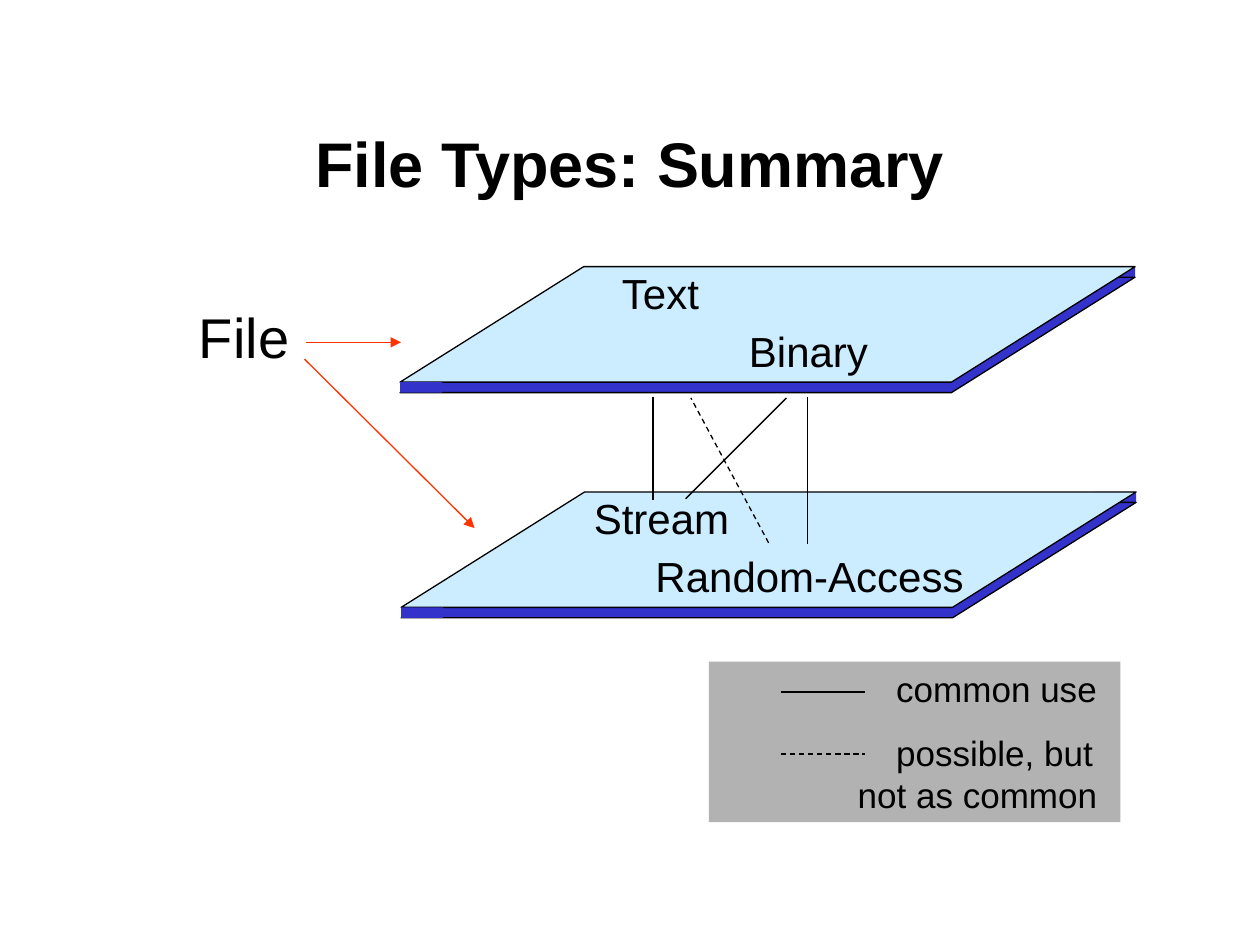
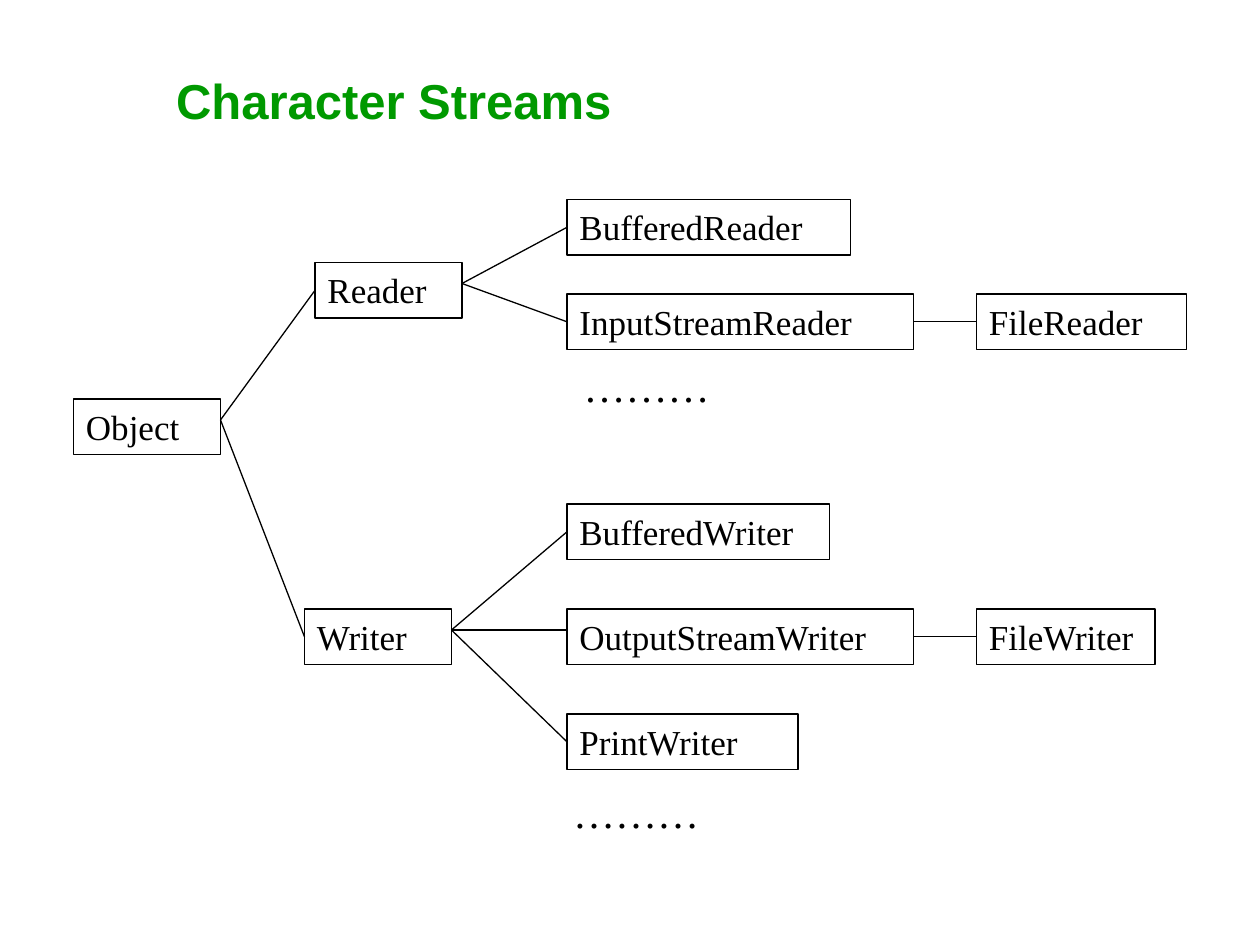
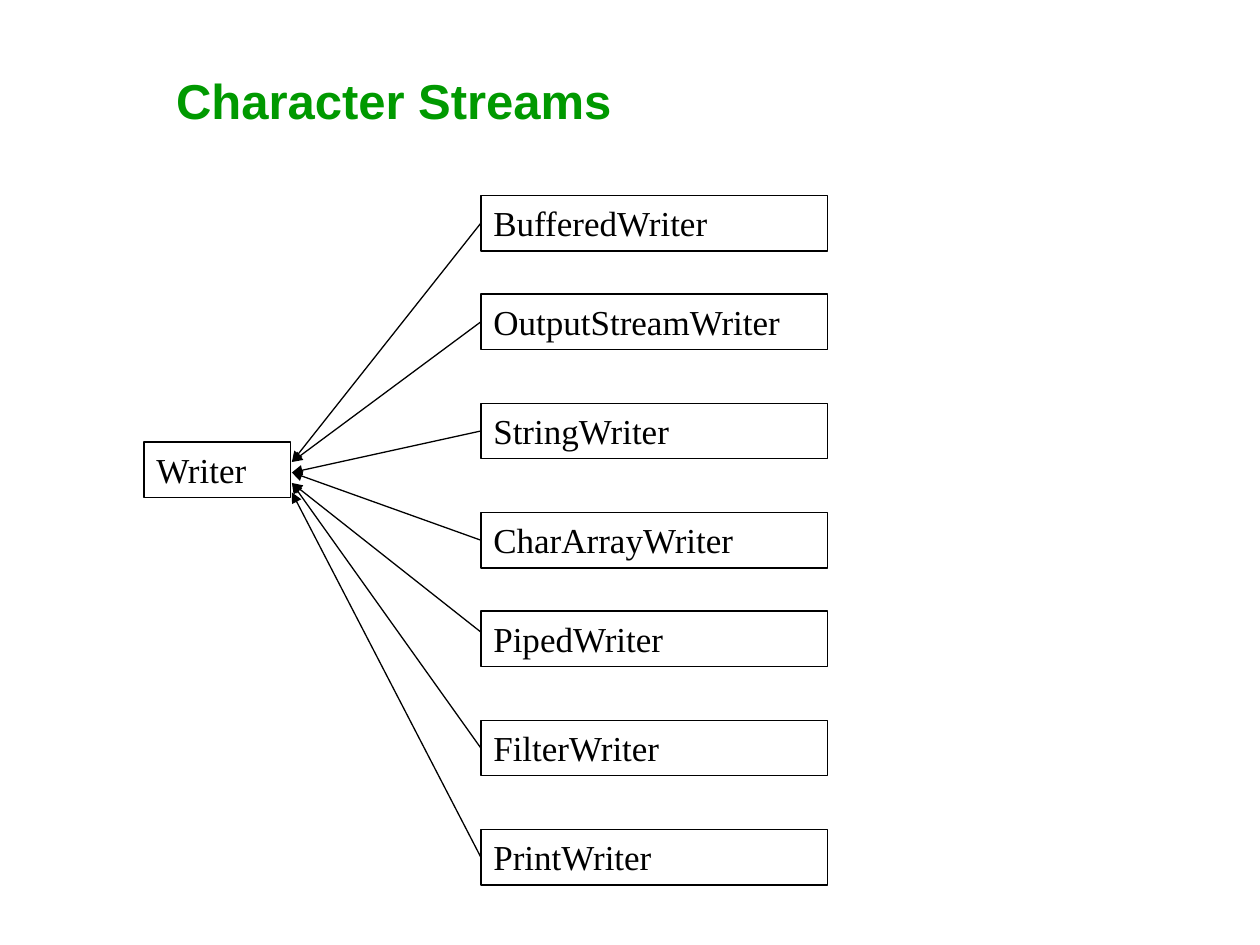
from dataclasses import dataclass
from lxml.etree import SubElement
from pptx import Presentation
from pptx.dml.color import RGBColor
from pptx.enum.dml import MSO_LINE
from pptx.enum.shapes import MSO_CONNECTOR, MSO_SHAPE
from pptx.enum.text import MSO_ANCHOR, PP_ALIGN
from pptx.oxml.ns import qn
from pptx.util import Inches, Pt

COLUMNS, ROWS = 120, 90
SLIDE_WIDTH, SLIDE_HEIGHT = Inches(10), Inches(7.5)
NODE_HEIGHT = 5.3
FAN_ROW = 2
LEFT_SIDE, RIGHT_SIDE = 1, 3


@dataclass(frozen=True)
class Theme:
    ink: str = "000000"
    green: str = "009900"
    red: str = "FF3300"
    sky: str = "CCECFF"
    blue: str = "3333CC"
    grey: str = "B2B2B2"
    sans: str = "Arial"
    serif: str = "Times New Roman"
    heading: int = 36
    subject: int = 32
    title: int = 28
    label: int = 24
    body: int = 20
    stroke: float = 0.75


THEME = Theme()


def text_style(size, face=THEME.sans, color=THEME.ink, bold=False):
    return {"size": Pt(size), "name": face, "bold": bold, "color": color}


STYLES = {
    "heading": text_style(THEME.heading, bold=True),
    "title": text_style(THEME.title, color=THEME.green, bold=True),
    "subject": text_style(THEME.subject),
    "label": text_style(THEME.label),
    "legend": text_style(THEME.body),
    "node": text_style(THEME.body, THEME.serif),
    "dots": text_style(THEME.label, THEME.serif),
}


@dataclass(frozen=True)
class Box:
    left: float
    top: float
    width: float
    height: float

    def inside(self, column, row, width, height):
        return Box(self.left + column, self.top + row, width, height)

    def point(self, column, row):
        return self.left + column, self.top + row

    def lengths(self):
        return (across(self.left), down(self.top),
                across(self.width), down(self.height))


PAGE = Box(0, 0, COLUMNS, ROWS)


def across(columns):
    return round(SLIDE_WIDTH * columns / COLUMNS)


def down(rows):
    return round(SLIDE_HEIGHT * rows / ROWS)


def write(shape, lines, style, align=PP_ALIGN.LEFT, anchor=MSO_ANCHOR.TOP):
    frame = shape.text_frame
    frame.word_wrap = True
    frame.vertical_anchor = anchor
    for index, line in enumerate(lines):
        para = frame.paragraphs[0] if index == 0 else frame.add_paragraph()
        para.alignment = align
        span = para.add_run()
        span.text = line
        for name, value in STYLES[style].items():
            if name == "color":
                span.font.color.rgb = RGBColor.from_string(value)
            else:
                setattr(span.font, name, value)
    return frame.paragraphs


def add_text(page, area, text, style, align=PP_ALIGN.CENTER, anchor=MSO_ANCHOR.TOP):
    write(page.shapes.add_textbox(*area.lengths()), [text], style, align, anchor)


def add_block(shapes, kind, area, fill=None, outlined=True):
    shape = shapes.add_shape(kind, *area.lengths())
    shape.shadow.inherit = False
    if fill:
        shape.fill.solid()
        shape.fill.fore_color.rgb = RGBColor.from_string(fill)
    else:
        shape.fill.background()
    if outlined:
        shape.line.color.rgb = RGBColor.from_string(THEME.ink)
        shape.line.width = Pt(THEME.stroke)
    else:
        shape.line.fill.background()
    return shape


def add_line(page, start, end, color=THEME.ink, dashed=False, arrow=None,
             start_node=None, end_node=None):
    line = page.shapes.add_connector(
        MSO_CONNECTOR.STRAIGHT,
        across(start[0]), down(start[1]), across(end[0]), down(end[1]))
    line.line.color.rgb = RGBColor.from_string(color)
    line.line.width = Pt(THEME.stroke)
    if dashed:
        line.line.dash_style = MSO_LINE.DASH
    if arrow:
        SubElement(line.line._get_or_add_ln(), qn(f"a:{arrow}"), type="triangle")
    SubElement(line._element.spPr, qn("a:effectLst"))
    if start_node:
        line.begin_connect(start_node, RIGHT_SIDE)
    if end_node:
        line.end_connect(end_node, LEFT_SIDE)


def add_title(page):
    add_text(page, PAGE.inside(14, 6, 47, 7), "Character Streams", "title",
             anchor=MSO_ANCHOR.MIDDLE)


def add_node(page, area, name):
    node = add_block(page.shapes, MSO_SHAPE.RECTANGLE, area)
    write(node, [name], "node")
    return node


def add_plate(page, area, labels):
    depth, strip, slant = 1, 4, 1.59
    face_height = area.height - depth
    plate = page.shapes.add_group_shape().shapes

    def add_strip(column, row):
        add_block(plate, MSO_SHAPE.RECTANGLE, area.inside(column, row, strip, depth),
                  THEME.blue, outlined=False)

    add_strip(area.width - strip, 0)
    for row, fill in ((depth, THEME.blue), (0, THEME.sky)):
        face = add_block(plate, MSO_SHAPE.PARALLELOGRAM,
                         area.inside(0, row, area.width, face_height), fill)
        face.adjustments[0] = slant
    add_strip(0, face_height)
    for label, column, row in zip(labels, (3.3, 17.4), (-0.5, 5)):
        add_text(page, area.inside(column, row, 43, 6), label, "label")


def add_legend(page, area):
    panel = add_block(page.shapes, MSO_SHAPE.RECTANGLE, area, THEME.grey, outlined=False)
    lines = ["common use", "possible, but", "not as common"]
    paras = write(panel, lines, "legend")
    for para, indent in zip(paras, (100, 100, 78)):
        para._p.get_or_add_pPr().set("marL", str(Pt(indent)))
    paras[1].space_before = Pt(12.5)
    for row, dashed in ((2.9, False), (8.8, True)):
        add_line(page, area.point(6.9, row), area.point(14.9, row), dashed=dashed)


def add_uses(page, area):
    for start, end, dashed in (
        ((0, 0), (0, 9.8), False),
        ((14.7, 0), (14.7, 14), False),
        ((3.1, 9.7), (12.7, 0.1), False),
        ((11, 13.9), (3.6, 0.1), True),
    ):
        add_line(page, area.point(*start), area.point(*end), dashed=dashed)


def add_subject(page, area):
    add_text(page, area, "File", "subject")
    for start, end in (((16.6, 4.4), (25.7, 4.4)), ((16.5, 6), (32.7, 22.1))):
        add_line(page, area.point(*start), area.point(*end), THEME.red, arrow="tailEnd")


def add_class_tree(page, area):
    places = {
        "Object": (0, 19, 14),
        "Reader": (23, 6, 14),
        "BufferedReader": (47, 0, 27),
        "InputStreamReader": (47, 9, 33),
        "FileReader": (86, 9, 20),
        "Writer": (22, 39, 14),
        "BufferedWriter": (47, 29, 25),
        "OutputStreamWriter": (47, 39, 33),
        "PrintWriter": (47, 49, 22),
        "FileWriter": (86, 39, 17),
    }
    boxes = {name: area.inside(column, row, width, NODE_HEIGHT)
             for name, (column, row, width) in places.items()}
    nodes = {name: add_node(page, box, name) for name, box in boxes.items()}
    children = {
        "Object": ("Reader", "Writer"),
        "Reader": ("BufferedReader", "InputStreamReader"),
        "Writer": ("OutputStreamWriter", "BufferedWriter", "PrintWriter"),
        "InputStreamReader": ("FileReader",),
        "OutputStreamWriter": ("FileWriter",),
    }
    for parent, names in children.items():
        for child in names:
            level = (parent, child) == ("Writer", "OutputStreamWriter")
            add_line(page, boxes[parent].point(boxes[parent].width, FAN_ROW),
                     boxes[child].point(0, FAN_ROW),
                     start_node=nodes[parent] if len(names) == 1 else None,
                     end_node=None if level else nodes[child])
    for column, row in ((47.4, 14.7), (46.4, 55.3)):
        add_text(page, area.inside(column, row, 23, 6), "………", "dots", PP_ALIGN.LEFT)


def add_writer_fan(page, area):
    add_node(page, area.inside(0, 23.5, 14, NODE_HEIGHT), "Writer")
    for name, row, tip_row in (
        ("BufferedWriter", 0, 25.4),
        ("OutputStreamWriter", 9.4, 25.4),
        ("StringWriter", 19.8, 26.4),
        ("CharArrayWriter", 30.2, 26.4),
        ("PipedWriter", 39.6, 27.4),
        ("FilterWriter", 50, 27.4),
        ("PrintWriter", 60.4, 28.3),
    ):
        box = area.inside(32.1, row, 33, NODE_HEIGHT)
        node = add_node(page, box, name)
        add_line(page, area.point(14.1, tip_row), box.point(0, FAN_ROW), arrow="headEnd",
                 end_node=None if name == "PipedWriter" else node)


def build_summary(page):
    add_text(page, PAGE.inside(9, 8, 102, 15), "File Types: Summary", "heading",
             anchor=MSO_ANCHOR.MIDDLE)
    add_plate(page, PAGE.inside(38.1, 25.4, 70, 12), ("Text", "Binary"))
    add_plate(page, PAGE.inside(38.2, 46.85, 70, 12), ("Stream", "Random-Access"))
    add_subject(page, PAGE.inside(12.5, 28.2, 21.5, 7.7))
    add_uses(page, PAGE.inside(62.2, 37.8, 14.7, 14))
    add_legend(page, PAGE.inside(67.5, 63, 39.2, 15.3))


def build_tree(page):
    add_title(page)
    add_class_tree(page, PAGE.inside(7, 19, 106, 62))


def build_writers(page):
    add_title(page)
    add_writer_fan(page, PAGE.inside(13.7, 18.6, 65.1, 65.7))


def main():
    deck = Presentation()
    deck.slide_width, deck.slide_height = SLIDE_WIDTH, SLIDE_HEIGHT
    blank = deck.slide_layouts[6]
    for build in (build_summary, build_tree, build_writers):
        build(deck.slides.add_slide(blank))
    deck.save("out.pptx")


if __name__ == "__main__":
    main()
